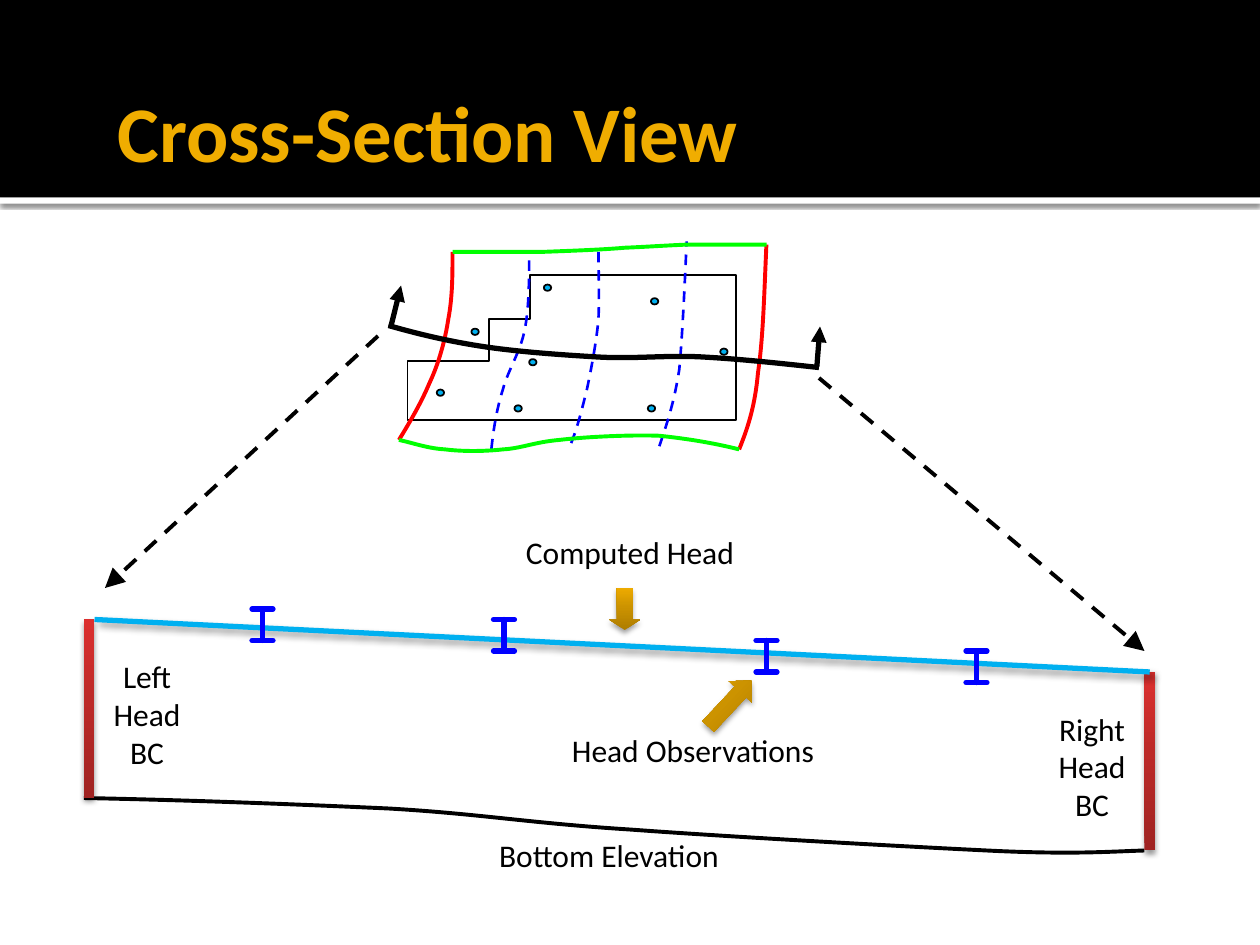
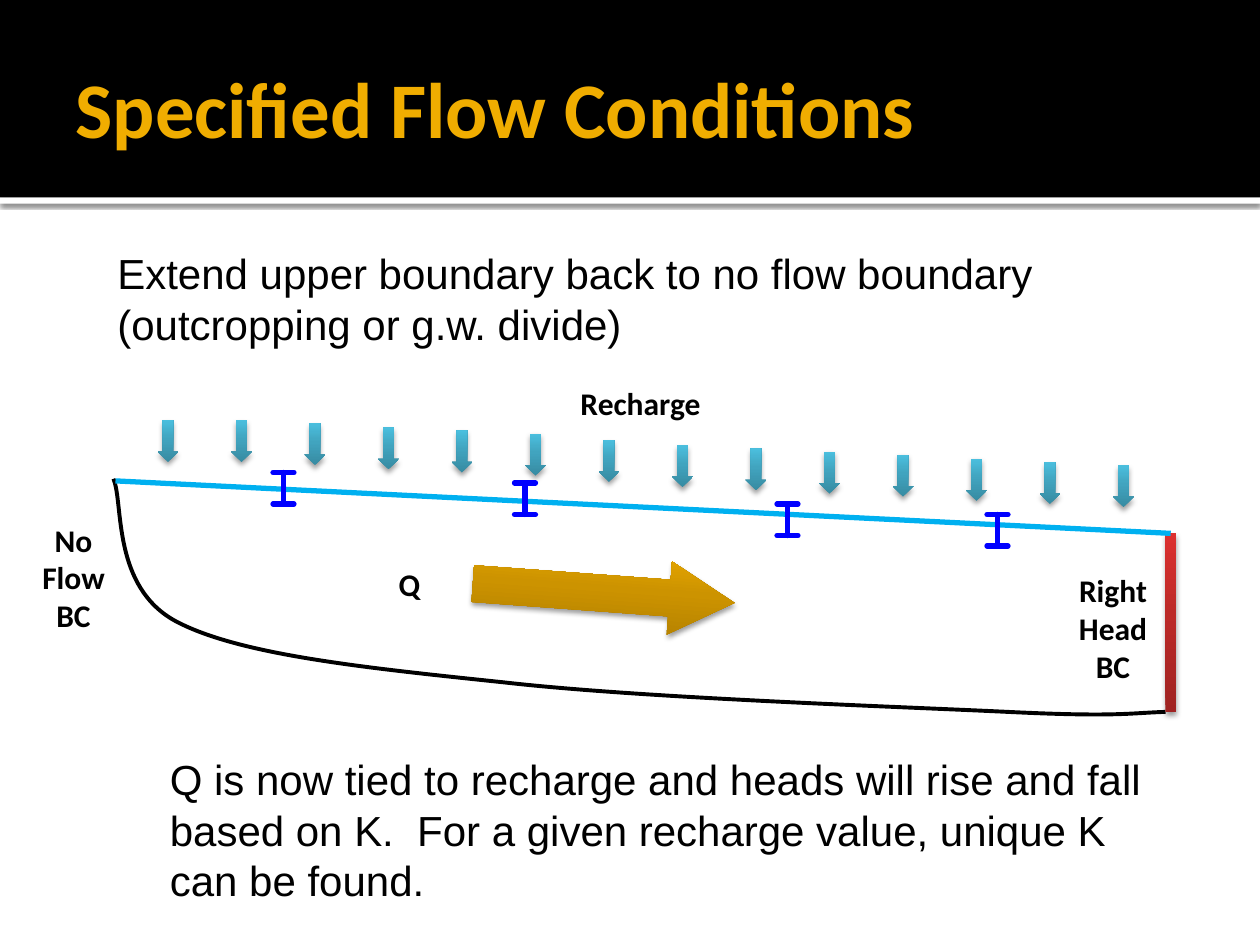
import copy

import lxml.etree
import pptx
import pptx.dml.color
import pptx.enum.dml
import pptx.enum.shapes
import pptx.enum.text
import pptx.oxml.ns
import pptx.util

PX = 7620

COLORS = {
    "black": "000000",
    "white": "FFFFFF",
    "gold": "F0AD00",
    "water": "00B0F0",
    "contour": "0000FF",
    "head_side": "FF0000",
    "flow_side": "00FF00",
}
GRADIENTS = {
    "red": ("A02322", "BC2A28", "DC302F"),
    "gold": ("AE7D00", "CC9300", "EEAB00"),
    "teal": ("378BA2", "41A4BF", "4BBFDE"),
}
STOP_POSITIONS = (0, 0.55, 1)
SOFT_SHADOW = (38, 3.1, 2, 90)
BAND_SHADOW = (60, 2.5, 0.8, 90)
LINE_SHADOW = (40, 4, 3, 45)

SHAPE = pptx.enum.shapes.MSO_SHAPE
ALIGN = pptx.enum.text.PP_ALIGN
qn = pptx.oxml.ns.qn


def px(length):
    return pptx.util.Emu(round(length * PX))


def rgb(name):
    return pptx.dml.color.RGBColor.from_string(COLORS[name])


def set_shadow(shape, shadow=None):
    effects = lxml.etree.SubElement(shape._element.spPr, qn("a:effectLst"))
    if shadow is None:
        return
    alpha, blur, distance, angle = shadow
    outer = lxml.etree.SubElement(
        effects, qn("a:outerShdw"), blurRad=str(pptx.util.Pt(blur)),
        dist=str(pptx.util.Pt(distance)), dir=str(angle * 60000), rotWithShape="0")
    tint = lxml.etree.SubElement(outer, qn("a:srgbClr"), val=COLORS["black"])
    lxml.etree.SubElement(tint, qn("a:alpha"), val=str(alpha * 1000))


def set_gradient(fill, name, shape):
    fill.gradient()
    fill.gradient_angle = 90
    stop_list = shape._element.spPr.find(".//" + qn("a:gsLst"))
    stop_list.insert(1, copy.deepcopy(stop_list[0]))
    for stop, position, color in zip(fill.gradient_stops, STOP_POSITIONS, GRADIENTS[name]):
        stop.color.rgb = pptx.dml.color.RGBColor.from_string(color)
        stop.position = position


def set_line(line, color, width, dashed=False, arrow=None, rounded=False):
    line.color.rgb = rgb(color)
    line.width = pptx.util.Pt(width)
    if dashed:
        line.dash_style = pptx.enum.dml.MSO_LINE.DASH
    outline = line._get_or_add_ln()
    if rounded:
        outline.set("cap", "rnd")
    if arrow:
        lxml.etree.SubElement(outline, qn("a:tailEnd"), type="triangle", w=arrow, len=arrow)


def bend_segments(shape):
    segments = list(shape._element.spPr.iter(qn("a:lnTo")))
    for index in range(0, len(segments), 3):
        bend = lxml.etree.Element(qn("a:cubicBezTo"))
        segments[index].addprevious(bend)
        for segment in segments[index:index + 3]:
            bend.append(segment[0])
            segment.getparent().remove(segment)


class Region:
    def __init__(self, page, left, top):
        self.page = page
        self.left = left
        self.top = top

    def point(self, x, y):
        return px(self.left + x), px(self.top + y)

    def shape(self, kind, x, y, width, height, color=None, gradient=None,
              shadow=None, outline=None, adjustments=(), rotation=0):
        shape = self.page.shapes.add_shape(kind, *self.point(x, y), px(width), px(height))
        if gradient:
            set_gradient(shape.fill, gradient, shape)
        else:
            shape.fill.solid()
            shape.fill.fore_color.rgb = rgb(color)
        if outline:
            set_line(shape.line, outline, 1)
        else:
            shape.line.fill.background()
        for index, value in enumerate(adjustments):
            shape.adjustments[index] = value
        shape.rotation = rotation
        set_shadow(shape, shadow)
        return shape

    def outline(self, points, color, width, dashed=False, close=False):
        start, *rest = [self.point(x, y) for x, y in points]
        builder = self.page.shapes.build_freeform(*start, scale=1.0)
        builder.add_line_segments(rest, close=close)
        shape = builder.convert_to_shape()
        shape.fill.background()
        set_line(shape.line, color, width, dashed)
        set_shadow(shape)
        return shape

    def curve(self, points, color, width, dashed=False):
        bend_segments(self.outline(points, color, width, dashed))

    def line(self, start, end, color, width, shadow=None, **style):
        connector = self.page.shapes.add_connector(
            pptx.enum.shapes.MSO_CONNECTOR.STRAIGHT, *self.point(*start), *self.point(*end))
        set_line(connector.line, color, width, **style)
        set_shadow(connector, shadow)
        return connector

    def label(self, text, x, y, width, height=48, bold=False,
              font="Calibri", size=18, align=ALIGN.CENTER):
        box = self.page.shapes.add_textbox(*self.point(x, y), px(width), px(height))
        frame = box.text_frame
        frame.word_wrap = True
        frame.auto_size = pptx.enum.text.MSO_AUTO_SIZE.SHAPE_TO_FIT_TEXT
        para = frame.paragraphs[0]
        para.alignment = align
        add_span(para, text, font, size, "black", bold)


def add_span(para, text, font, size, color, bold):
    span = para.add_run()
    span.text = text
    span.font.name = font
    span.font.size = pptx.util.Pt(size)
    span.font.color.rgb = rgb(color)
    span.font.bold = bold


def add_bands(layout, page):
    region = Region(page, 0, 0)
    strip = region.shape(SHAPE.RECTANGLE, 0, 188, 1200, 6, "white", shadow=BAND_SHADOW)
    header = region.shape(SHAPE.RECTANGLE, 0, 0, 1200, 188, "black")
    for band in (header, strip):
        layout.shapes._spTree.insert(2, band._element)


def set_title(page, text, left, top, width, height):
    title = page.shapes.title
    title.left, title.top, title.width, title.height = map(px, (left, top, width, height))
    frame = title.text_frame
    frame.word_wrap = True
    frame.auto_size = pptx.enum.text.MSO_AUTO_SIZE.NONE
    frame.vertical_anchor = pptx.enum.text.MSO_ANCHOR.MIDDLE
    frame.margin_left = px(12)
    frame.margin_top = frame.margin_right = frame.margin_bottom = px(6)
    frame.paragraphs[0].alignment = ALIGN.LEFT
    add_span(frame.paragraphs[0], text, "Calibri", 45, "gold", True)


def draw_plan_map(page, left, top):
    region = Region(page, left, top)
    region.outline([(96, 74), (96, 114), (18, 114), (18, 170), (331, 170),
                    (331, 32), (135, 32), (135, 74)], "black", 1, close=True)
    for x, y in [(46, 141), (79, 83), (148, 41), (134, 112),
                 (120, 156), (247, 156), (316, 102), (250, 54)]:
        region.shape(SHAPE.OVAL, x, y, 7, 6, "water", outline="black")
    contours = [
        [(98, 198), (100, 179), (103, 160), (109, 141), (114, 122),
         (126, 105), (130, 83), (134, 62), (134, 35), (134, 10)],
        [(174, 192), (180, 177), (184, 161), (189, 141), (193, 122),
         (198, 96), (200, 74), (201, 51), (200, 29), (200, 6)],
        [(258, 195), (265, 174), (272, 154), (277, 122), (280, 89), (282, 45), (284, 0)],
    ]
    for contour in contours:
        region.curve(contour, "contour", 1.5, dashed=True)
    head_sides = [
        [(10, 189), (21, 171), (31, 154), (39, 135), (48, 116),
         (54, 94), (57, 74), (61, 53), (61, 32), (61, 10)],
        [(334, 198), (342, 178), (349, 158), (352, 125), (357, 92), (358, 47), (360, 3)],
    ]
    for side in head_sides:
        region.curve(side, "head_side", 2.25)
    flow_sides = [
        [(61, 10), (90, 10), (117, 10), (145, 10), (172, 9), (202, 8), (225, 6),
         (248, 5), (261, 4), (284, 3), (306, 3), (333, 3), (360, 3)],
        [(10, 189), (24, 192), (37, 197), (54, 198), (70, 200), (91, 200),
         (109, 198), (127, 197), (139, 191), (163, 189), (188, 186), (230, 184),
         (258, 185), (286, 188), (310, 192), (334, 198)],
    ]
    for side in flow_sides:
        region.curve(side, "flow_side", 2.25)
    region.curve([(0, 80), (28, 88), (57, 95), (90, 100), (123, 105), (165, 108),
                  (200, 110), (235, 112), (265, 108), (300, 110), (336, 112),
                  (373, 116), (410, 120)], "black", 3)
    for start, end in [((2, 82), (12, 42)), ((408, 119), (411, 81))]:
        region.line(start, end, "black", 3, arrow="med")


def draw_head_wall(region, x, y):
    return region.shape(SHAPE.RECTANGLE, x, y, 10, 170, gradient="red", shadow=SOFT_SHADOW)


def draw_aquifer(region, bottom, left_label, left_label_at, bold, line_shadow=None):
    region.curve(bottom, "black", 2.25)
    wall = draw_head_wall(region, 1010, 50)
    region.label(left_label, *left_label_at, 100, 120, bold)
    region.label("Right Head BC", 910, 80, 100, 120, bold)
    water_table = region.line((10, 0), (1015, 50), "water", 3, line_shadow)
    water_table.end_connect(wall, 0)


def draw_observations(page, left, top):
    region = Region(page, left, top)
    for x, y in [(170, -10), (400, 0), (650, 20), (850, 30)]:
        region.line((x, y), (x, y + 30), "contour", 3, rounded=True)
        for cap in (y, y + 30):
            region.line((x - 10, cap), (x + 10, cap), "contour", 3, rounded=True)


def build_cross_section(page):
    set_title(page, "Cross-Section View", 100, 50, 1020, 150)
    draw_plan_map(page, 370, 230)
    region = Region(page, 80, 590)
    bottom = [(0, 170), (101, 172), (203, 176), (290, 180), (377, 185), (425, 194),
              (520, 200), (615, 207), (778, 216), (860, 220), (941, 224),
              (976, 221), (1010, 220)]
    draw_aquifer(region, bottom, "Left Head BC", (10, 30), False, LINE_SHADOW)
    draw_head_wall(region, 0, 0)
    region.label("Bottom Elevation", 360, 200, 280)
    region.label("Computed Head", 360, -88, 320)
    region.shape(SHAPE.DOWN_ARROW, 500, -30, 30, 40, gradient="gold",
                 shadow=SOFT_SHADOW, adjustments=(0.5, 0.33))
    for start, end in [((280, -270), (20, -30)), ((700, -230), (1010, 30))]:
        region.line(start, end, "black", 2.25, dashed=True, arrow="lg")
    region.label("Head Observations", 420, 100, 320)
    region.shape(SHAPE.RIGHT_ARROW, 585, 65, 60, 30, gradient="gold",
                 shadow=SOFT_SHADOW, adjustments=(0.5, 0.5), rotation=313.1)
    draw_observations(page, 80, 590)


def draw_recharge(region):
    region.label("Recharge", 350, -98, 320, bold=True)
    tops = [-58, -58, -55, -51, -48, -45, -39, -34, -31, -28, -25, -21, -18, -15]
    for index, top in enumerate(tops):
        region.shape(SHAPE.DOWN_ARROW, 50 + 70 * index, top, 20, 40, gradient="teal",
                     shadow=SOFT_SHADOW, adjustments=(0.5, 0.5))


def build_flow_conditions(page):
    set_title(page, "Specified Flow Conditions", 60, 20, 1080, 164)
    region = Region(page, 100, 458)
    bottom = [(8, -2), (18, 21), (6, 101), (68, 134), (129, 166), (248, 178),
              (381, 192), (513, 207), (756, 215), (860, 220), (964, 225),
              (976, 221), (1010, 220)]
    draw_aquifer(region, bottom, "No Flow BC", (-80, 32), True)
    draw_recharge(region)
    region.shape(SHAPE.RIGHT_ARROW, 350, 72, 250, 70, gradient="gold",
                 shadow=SOFT_SHADOW, adjustments=(0.5, 0.89), rotation=4.2)
    region.label("Q", 240, 74, 100, bold=True)
    notes = Region(page, 100, 230)
    notes.label("Extend upper boundary back to no flow boundary (outcropping or g.w. divide)",
                0, 0, 950, 108, font="Arial", size=24, align=ALIGN.LEFT)
    notes.label("Q is now tied to recharge and heads will rise and fall based on K.  "
                "For a given recharge value, unique K can be found.",
                50, 482, 950, 156, font="Arial", size=24, align=ALIGN.LEFT)
    draw_observations(page, 100, 460)


def main():
    deck = pptx.Presentation()
    deck.slide_width, deck.slide_height = px(1200), px(900)
    layout = deck.slide_layouts[5]
    pages = [deck.slides.add_slide(layout) for _ in range(2)]
    add_bands(layout, pages[0])
    build_cross_section(pages[0])
    build_flow_conditions(pages[1])
    deck.save("out.pptx")


if __name__ == "__main__":
    main()
